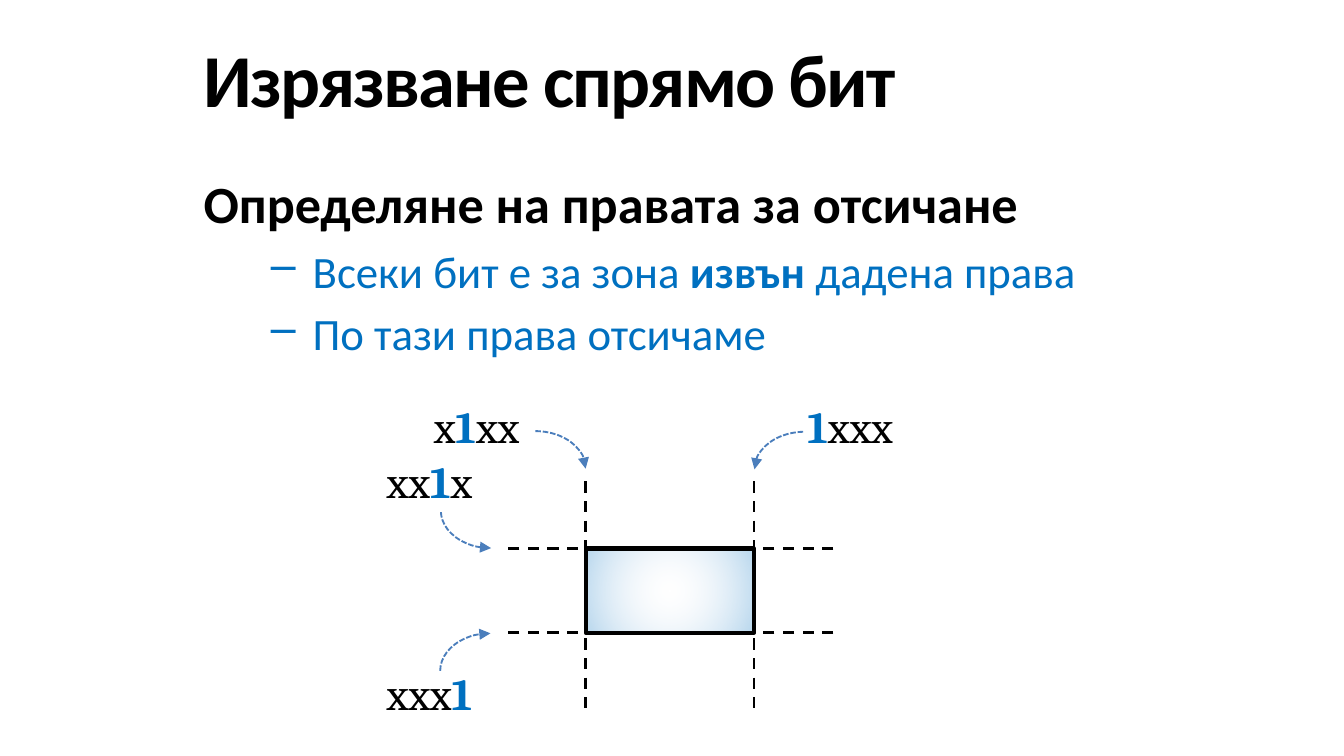
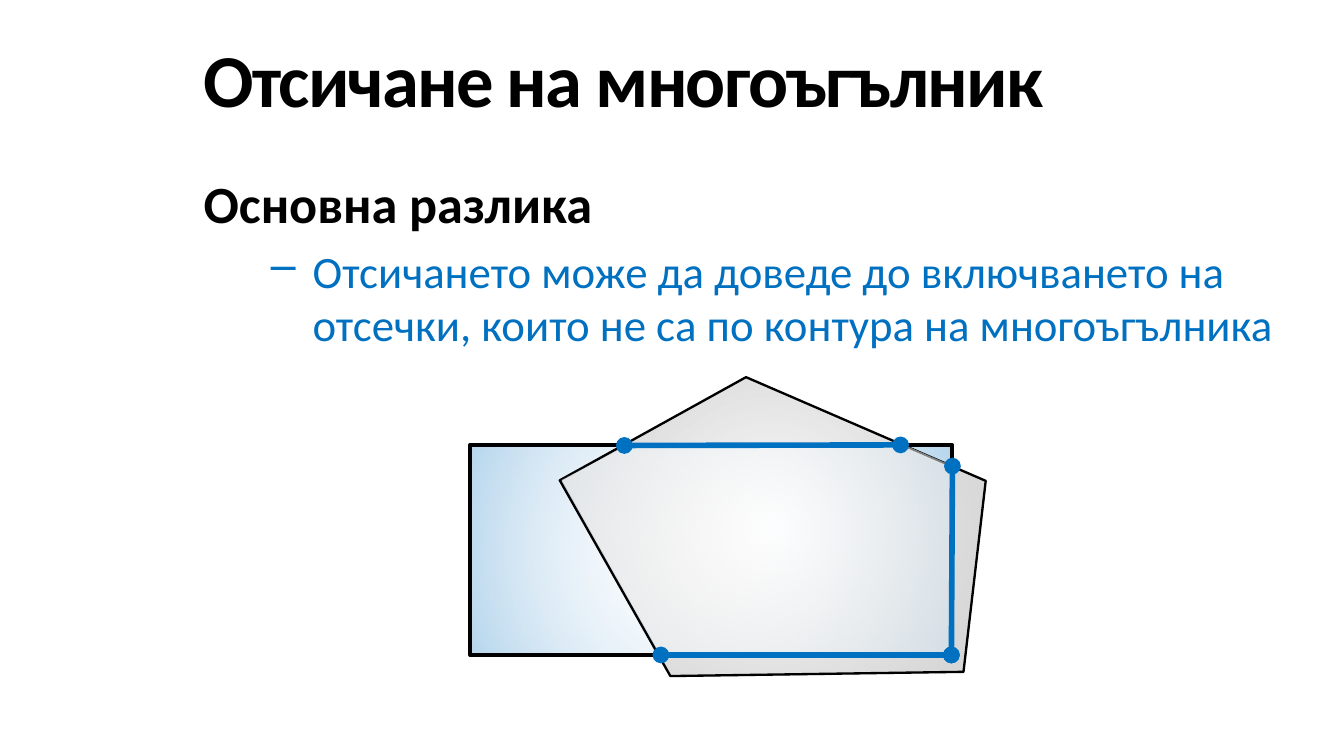
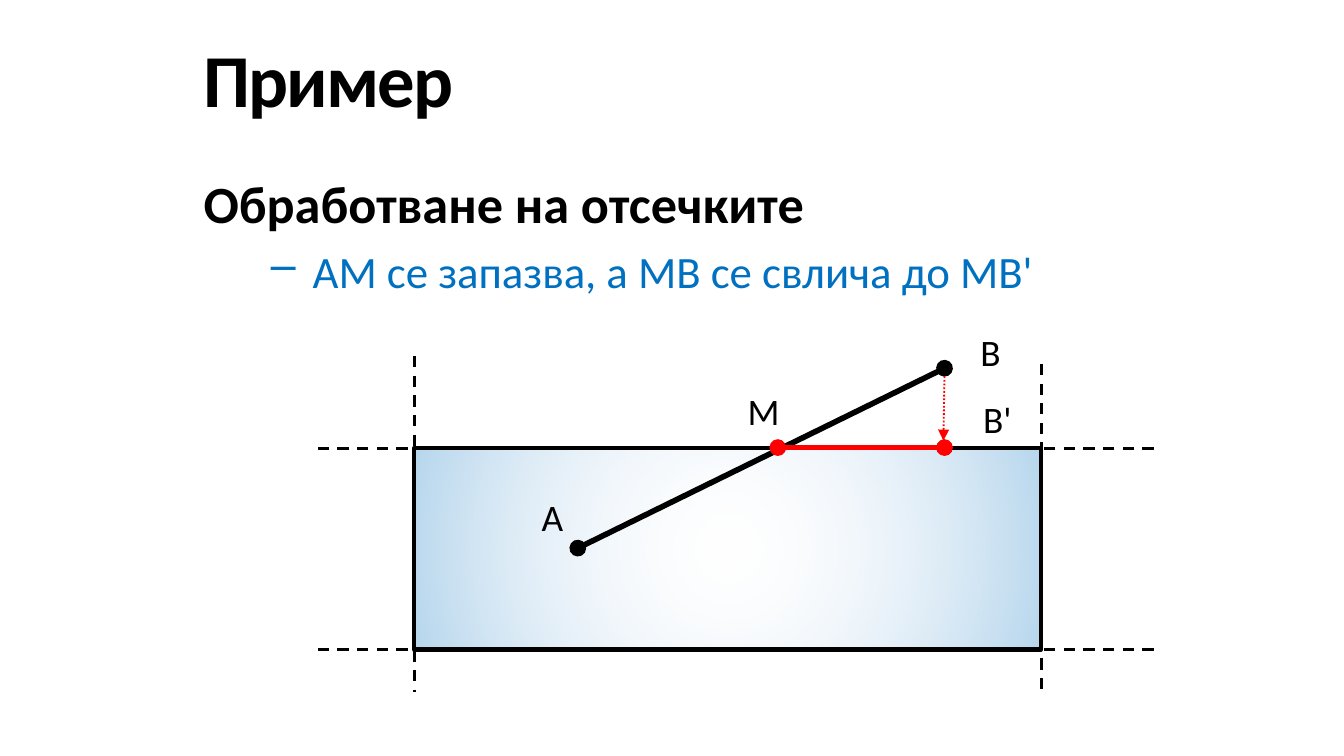
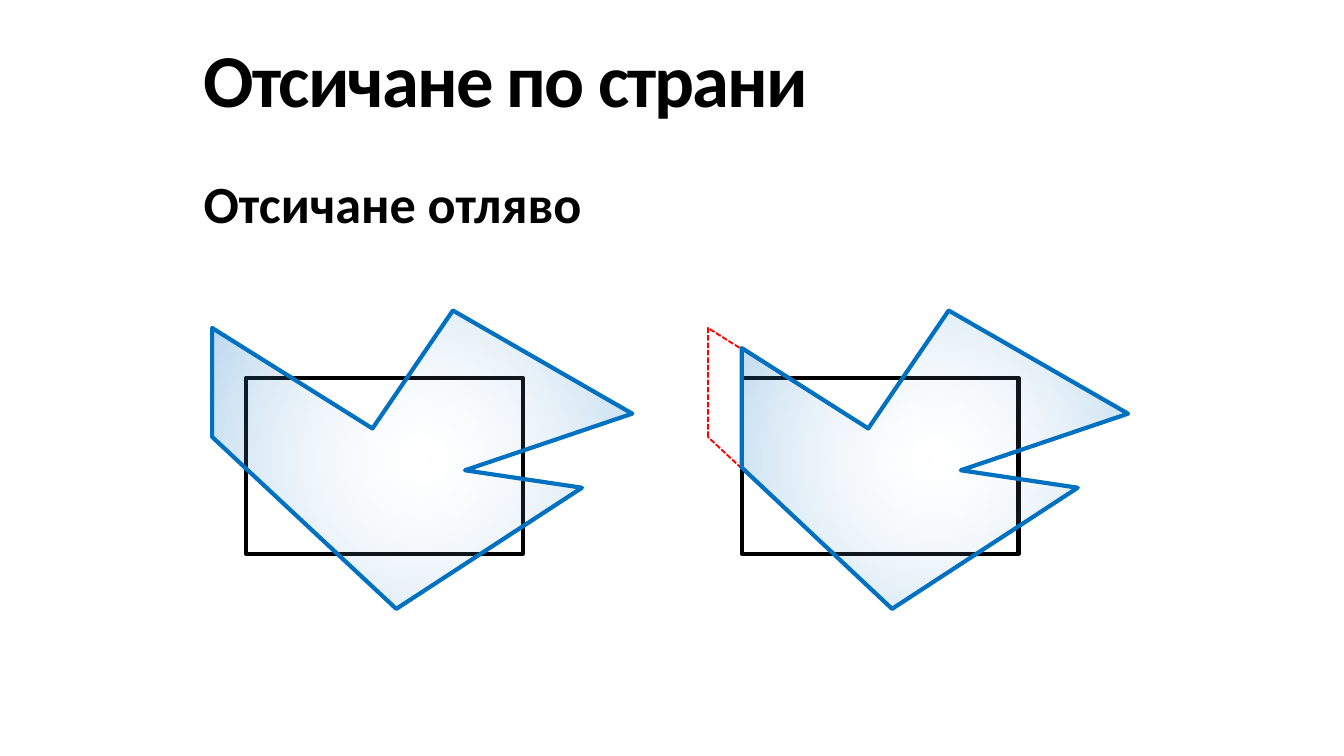
from pptx import Presentation
from pptx import util as u
from pptx.dml.color import RGBColor
from pptx.enum import dml, shapes, text
from pptx.oxml import parse_xml
from pptx.oxml.ns import nsdecls, qn
from pptx.oxml.xmlchemy import OxmlElement

# Colours
BLACK = RGBColor(0x00, 0x00, 0x00)
BLUE = RGBColor(0x00, 0x70, 0xC0)
STEEL = RGBColor(0x4B, 0x7E, 0xBC)
RED = RGBColor(0xFF, 0x00, 0x00)
PALE = RGBColor(0xE1, 0xE8, 0xF5)
WHITE = RGBColor(0xFF, 0xFF, 0xFF)
GREY = RGBColor(0x80, 0x80, 0x80)

# Text looks
TITLE = {"size": u.Pt(40), "name": "Calibri", "bold": True}
HEAD = {"size": u.Pt(28), "name": "Calibri", "bold": True}
ITEM = {"size": u.Pt(24), "name": "Calibri", "bold": False}
CODE = {"size": u.Pt(24), "name": "Cambria", "bold": False}
POINT = {"size": u.Pt(20), "name": "Calibri", "bold": False}

# Fills: (colour, opacity in percent) from the centre outwards
GLOW = [(PALE, 0), (BLUE, 29)]
SMOKE = [(WHITE, 49), (GREY, 34)]
VEIL = [(WHITE, 50)]

# Line and shape looks
DASH = {"hue": BLACK, "width": 1.5, "dash": dml.MSO_LINE.DASH}
HINT = {"hue": STEEL, "width": 1, "dash": dml.MSO_LINE.SQUARE_DOT}
START = {**HINT, "head": "triangle"}
END = {**HINT, "tail": "triangle"}
FRAME = {"hue": BLACK, "width": 2.25}
PANE = {**FRAME, "fill": GLOW}
SHAPE = {"hue": BLUE, "width": 2.25, "fill": GLOW}
EDGE = {"hue": BLUE, "width": 3, "head": "oval", "tail": "oval"}
DROP = {"hue": RED, "width": 1, "dash": dml.MSO_LINE.ROUND_DOT, "tail": "triangle"}
LOST = {"hue": RED, "width": 1, "dash": dml.MSO_LINE.SQUARE_DOT}


def mark(item, hue=None, width=1, dash=None, head=None, tail=None, fill=None):
    """Give a shape or connector its line, arrowheads and fill."""
    props = item._element.spPr
    if hue is None:
        item.line.fill.background()
    else:
        item.line.color.rgb = hue
        item.line.width = u.Pt(width)
        if dash:
            item.line.dash_style = dash
    for tag, form in (("a:headEnd", head), ("a:tailEnd", tail)):
        if form:
            end = OxmlElement(tag)
            end.set("type", form)
            item.line._get_or_add_ln().append(end)
    if not hasattr(item, "fill"):
        props.append(OxmlElement("a:effectLst"))
        return
    item.shadow.inherit = False
    item.fill.background()
    if fill:
        tints = [f'<a:srgbClr val="{tint}"><a:alpha val="{part * 1000}"/></a:srgbClr>'
                 for tint, part in fill]
        if len(tints) == 1:
            code = f'<a:solidFill {nsdecls("a")}>{tints[0]}</a:solidFill>'
        else:
            code = (f'<a:gradFill {nsdecls("a")}><a:gsLst>'
                    f'<a:gs pos="0">{tints[0]}</a:gs><a:gs pos="100000">{tints[1]}</a:gs>'
                    '</a:gsLst><a:path path="circle">'
                    '<a:fillToRect l="50000" t="50000" r="50000" b="50000"/>'
                    '</a:path></a:gradFill>')
        props.replace(props.find(qn("a:noFill")), parse_xml(code))


def write(par, words, look, hue=BLACK):
    """Write a paragraph; the words between bars become bold and blue."""
    for num, part in enumerate(words.split("|")):
        if part:
            run = par.add_run()
            run.text = part
            for key, val in look.items():
                setattr(run.font, key, val)
            run.font.color.rgb = hue
            if num % 2:
                run.font.bold = True
                run.font.color.rgb = BLUE
            if look is TITLE:
                run._r.get_or_add_rPr().set("spc", "-100")


# Slide 1: window, its four border lines and their bit codes
bits = [("line", (x, 9.1, x, 13.39), DASH) for x in (11.07, 14.25)]
bits += [("line", (15.75, y, 9.6, y), DASH) for y in (11.96, 10.37)]
bits += [
    ("box", (11.07, 10.37, 3.18, 1.59), PANE),
    ("code", (7.06, 12.45, 2.24, 1.27), "xxx|1|"),
    ("arc", (8.56, 11.73, 1.42, 1.9, 270), END),
    ("code", (7.06, 8.46, 2.24, 1.27), "xx|1|x"),
    ("arc", (8.33, 8.94, 1.9, 1.42, 180), START),
    ("code", (15.01, 7.42, 2.24, 1.27), "|1|xxx"),
    ("arc", (9.17, 8.15, 1.9, 1.42, 0), END),
    ("code", (7.95, 7.42, 2.24, 1.27), "x|1|xx"),
    ("arc", (14.5, 7.92, 1.42, 1.9, 270), START),
]

# Slide 2: pentagon over a window, with the edges the clipping adds
clip = [
    ("box", (8.89, 8.41, 9.1, 3.97), PANE),
    ("poly", [(10.58, 9.08), (14.1, 7.13), (18.63, 9.09), (18.21, 12.7), (12.67, 12.78)],
     {"hue": BLACK, "width": 1.25, "fill": SMOKE}),
    ("poly", [(10.62, 9.07), (11.79, 8.46), (17.09, 8.41), (18.01, 8.81),
              (17.98, 12.4), (12.5, 12.4)], {"fill": VEIL}),
    ("line", (11.8, 8.42, 17.02, 8.41), EDGE),
    ("line", (17.98, 12.38, 18, 8.81), EDGE),
    ("line", (17.98, 12.38, 12.49, 12.38), EDGE),
]

# Slide 3: segment AB, its crossing M and the moved end B'
slip = [("line", (x, y, x, 13.08), DASH) for x, y in ((7.83, 6.73), (19.68, 6.88))]
slip += [("line", (21.8, y, 5.93, y), DASH) for y in (12.28, 8.47)]
slip += [
    ("box", (7.83, 8.47, 11.85, 3.81), PANE),
    ("line", (17.85, 6.96, 10.92, 10.36), {**EDGE, "hue": BLACK}),
]
slip += [("point", (x, y, 2.74, 1.12), name) for name, x, y in (
    ("A", 9.07, 9.22), ("B", 17.35, 6.1), ("M", 13.06, 7.21), ("B'", 17.48, 7.37))]
slip += [
    ("line", (17.85, 8.46, 14.7, 8.46), {**EDGE, "hue": RED}),
    ("line", (17.85, 7.11, 17.83, 8.33), DROP),
]

# Slide 4: the same outline before and after the left cut
GAP = 9.37
left = [(4.01, 8.26), (4.01, 6.2)]
cut = [(4.65, 8.84), (4.65, 6.58)]
rest = [(7.04, 8.1), (8.56, 5.87), (11.95, 7.82), (8.79, 8.89), (11, 9.22), (7.49, 11.51)]
sides = []
for shift, layers in ((0, [(left, SHAPE)]), (GAP, [(left, LOST), (cut, SHAPE)])):
    sides.append(("box", (4.65 + shift, 7.14, 5.23, 3.33), FRAME))
    for flank, style in layers:
        sides.append(("poly", [(x + shift, y) for x, y in flank + rest], style))

deck = [
    ("Изрязване спрямо бит", "Определяне на правата за отсичане",
     ["Всеки бит е за зона |извън| дадена права", "По тази права отсичаме"], bits),
    ("Отсичане на многоъгълник", "Основна разлика",
     ["Отсичането може да доведе до включването на отсечки, "
      "които не са по контура на многоъгълника"], clip),
    ("Пример", "Обработване на отсечките",
     ["AM се запазва, а MB се свлича до MB'"], slip),
    ("Отсичане по страни", "Отсичане отляво", [], sides),
]

prs = Presentation()
prs.slide_width, prs.slide_height = u.Cm(25.4), u.Cm(14.29)

for title, lead, items, parts in deck:
    slide = prs.slides.add_slide(prs.slide_layouts[6])
    pool = slide.shapes

    # Title
    frame = pool.add_textbox(u.Cm(3.6), u.Cm(0.38), u.Cm(21.8), u.Cm(2.16)).text_frame
    frame.word_wrap = True
    frame.vertical_anchor = text.MSO_ANCHOR.MIDDLE
    write(frame.paragraphs[0], title, TITLE)

    # Lead line and dashed items
    frame = pool.add_textbox(u.Cm(3.6), u.Cm(3.12), u.Cm(21.8), u.Cm(10.36)).text_frame
    frame.word_wrap = True
    write(frame.paragraphs[0], lead, HEAD)
    for words in items:
        par = frame.add_paragraph()
        par.level = 1
        par.space_before = u.Pt(4.8)
        props = par._p.get_or_add_pPr()
        props.set("marL", str(u.Cm(2.06)))
        props.set("indent", str(u.Cm(-0.79)))
        dot = OxmlElement("a:buChar")
        dot.set("char", "–")
        props.append(dot)
        write(par, words, ITEM, BLUE)

    # Drawing
    for kind, place, style in parts:
        if kind == "poly":
            dots = [(u.Cm(x), u.Cm(y)) for x, y in place]
            path = pool.build_freeform(*dots[0], scale=1.0)
            path.add_line_segments(dots[1:], close=True)
            mark(path.convert_to_shape(), **style)
            continue
        spot = [u.Cm(val) for val in place[:4]]
        if kind == "line":
            mark(pool.add_connector(shapes.MSO_CONNECTOR.STRAIGHT, *spot), **style)
        elif kind == "box":
            mark(pool.add_shape(shapes.MSO_SHAPE.RECTANGLE, *spot), **style)
        elif kind == "arc":
            arc = pool.add_shape(shapes.MSO_SHAPE.ARC, *spot)
            arc.rotation = place[4]
            mark(arc, **style)
        else:
            frame = pool.add_textbox(*spot).text_frame
            frame.auto_size = text.MSO_AUTO_SIZE.SHAPE_TO_FIT_TEXT
            frame.word_wrap = kind == "point"
            if kind == "point":
                frame.paragraphs[0].alignment = text.PP_ALIGN.CENTER
            write(frame.paragraphs[0], style, POINT if kind == "point" else CODE)

prs.save("out.pptx")
